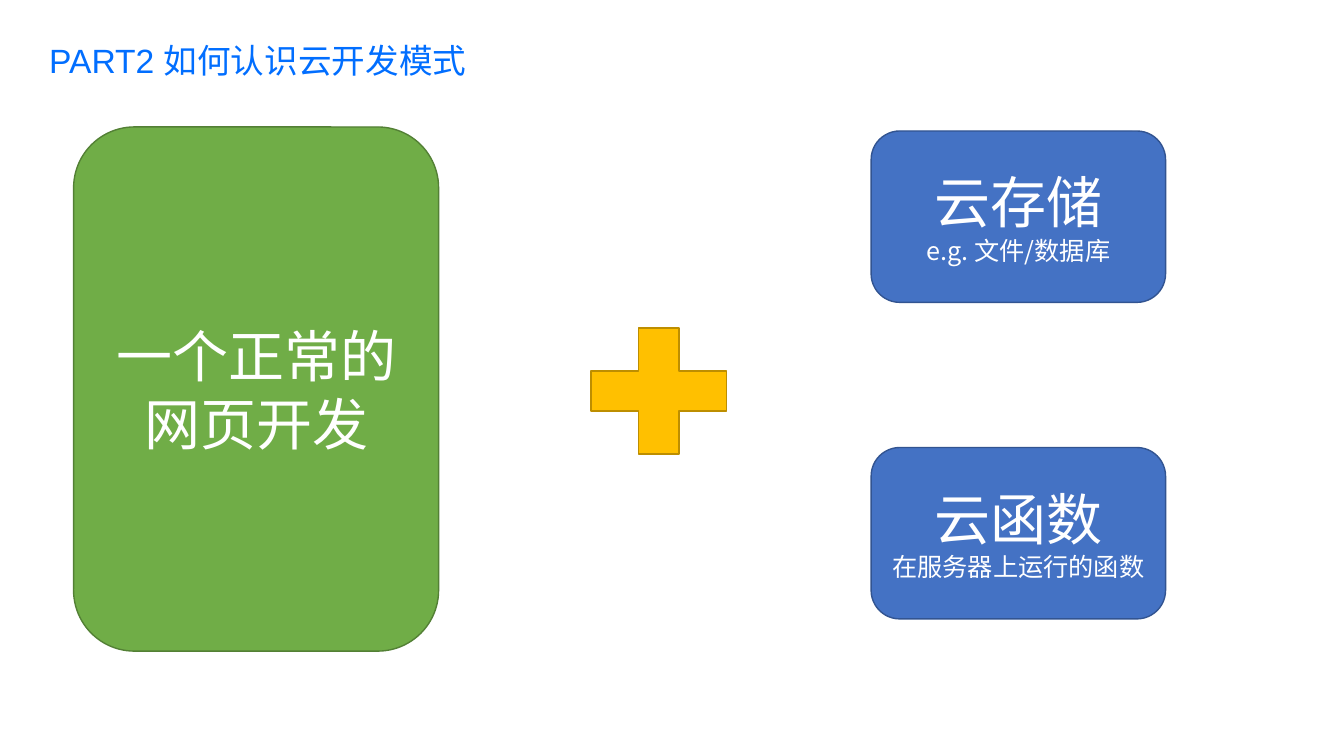
from lxml import etree
from pptx import Presentation
from pptx import util as u
from pptx.dml.color import RGBColor
from pptx.enum import shapes, text
from pptx.oxml.ns import qn

COLORS = {
    "title": "016EFF", "white": "FFFFFF",
    "blue": "4472C4", "blue_line": "325491",
    "green": "70AD47", "green_line": "538035",
    "gold": "FFC000", "gold_line": "BD8E00",
}
CJK = "Noto Sans CJK SC"


class Deck:
    def __init__(self, prs):
        self.s = prs.slides.add_slide(prs.slide_layouts[6])

    def color(self, name):
        return RGBColor.from_string(COLORS[name])

    def run(self, p, words, size, font, color):
        r = p.add_run()
        r.text = words
        for key, value in {"name": font, "size": u.Pt(size)}.items():
            setattr(r.font, key, value)
        r.font.color.rgb = self.color(color)
        etree.SubElement(r.font._element, qn("a:ea"), typeface=CJK)

    def title(self, words, *box):
        tf = self.s.shapes.add_textbox(*map(u.Inches, box)).text_frame
        tf.word_wrap = True
        p = tf.paragraphs[0]
        p.line_spacing = 0.9
        self.run(p, words, 24, "Arial", "title")

    def shape(self, kind, color, box, lines=()):
        """Add a preset shape; lines holds (words, size) pairs, one a paragraph."""
        sp = self.s.shapes.add_shape(kind, *map(u.Inches, box))
        sp.shadow.inherit = False
        sp.fill.solid()
        sp.fill.fore_color.rgb = self.color(color)
        sp.line.color.rgb = self.color(color + "_line")
        sp.line.width = u.Pt(1)
        tf = sp.text_frame
        tf.word_wrap = True
        tf.vertical_anchor = text.MSO_ANCHOR.MIDDLE
        for i, (words, size) in enumerate(lines):
            p = tf.add_paragraph() if i else tf.paragraphs[0]
            p.alignment = text.PP_ALIGN.CENTER
            self.run(p, words, size, CJK, "white")


def main():
    prs = Presentation()
    prs.slide_width, prs.slide_height = u.Inches(13.33), u.Inches(7.5)
    deck = Deck(prs)
    rounded = shapes.MSO_SHAPE.ROUNDED_RECTANGLE

    deck.title("PART2 如何认识云开发模式", 0.39, 0.39, 11.5, 0.56)
    services = [("云存储", "e.g. 文件/数据库"), ("云函数", "在服务器上运行的函数")]
    for i, (name, detail) in enumerate(services):
        deck.shape(rounded, "blue", (8.64, 1.3 + 3.14 * i, 2.92, 1.7),
                   [(name, 40), (detail, 18)])
    deck.shape(rounded, "green", (0.73, 1.26, 3.62, 5.2), [("一个正常的网页开发", 40)])
    deck.shape(shapes.MSO_SHAPE.MATH_PLUS, "gold", (5.62, 3.03, 1.83, 1.7))

    prs.save("out.pptx")


if __name__ == "__main__":
    main()
